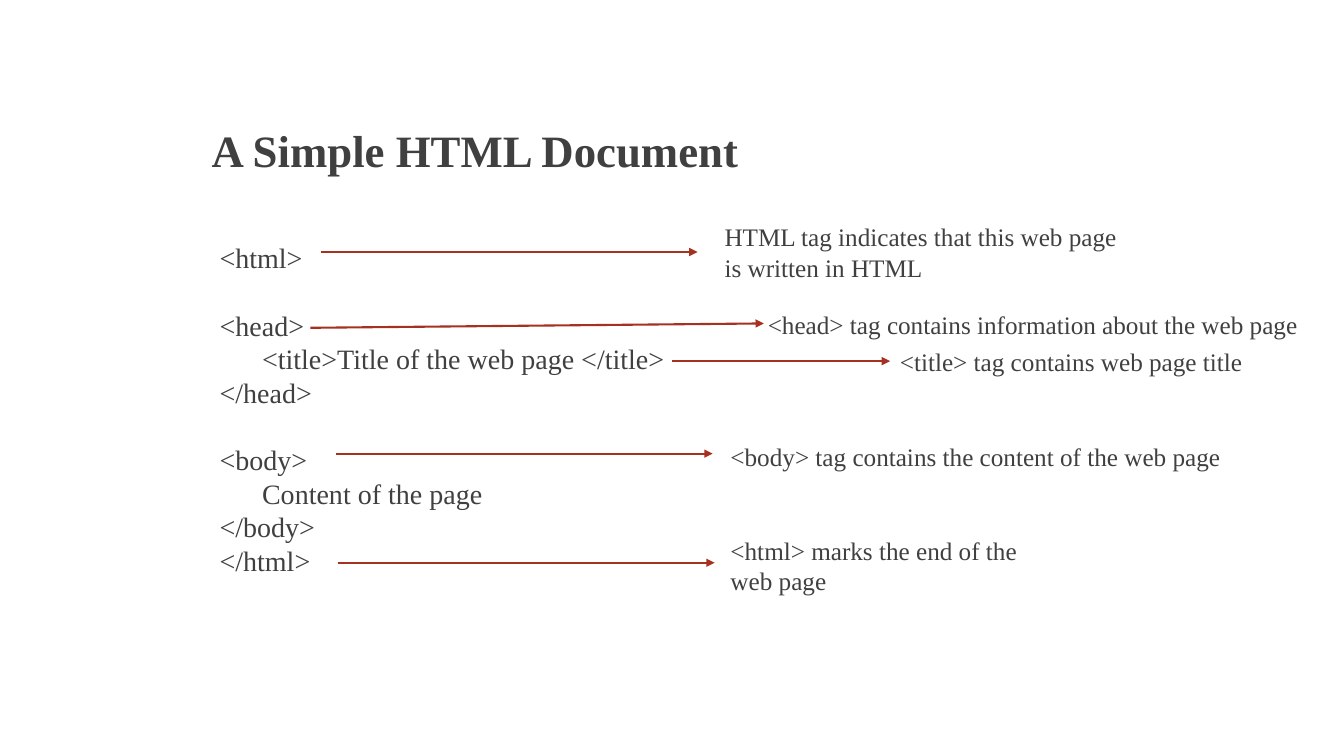
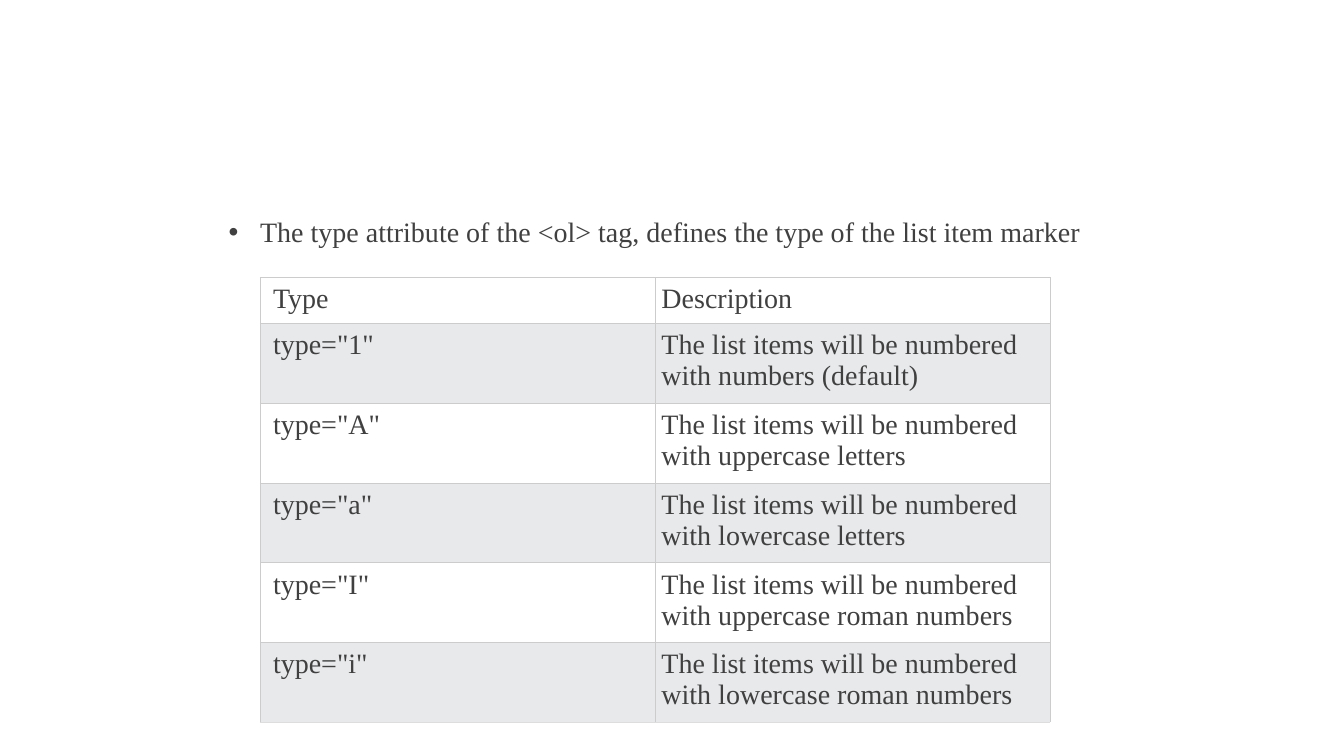
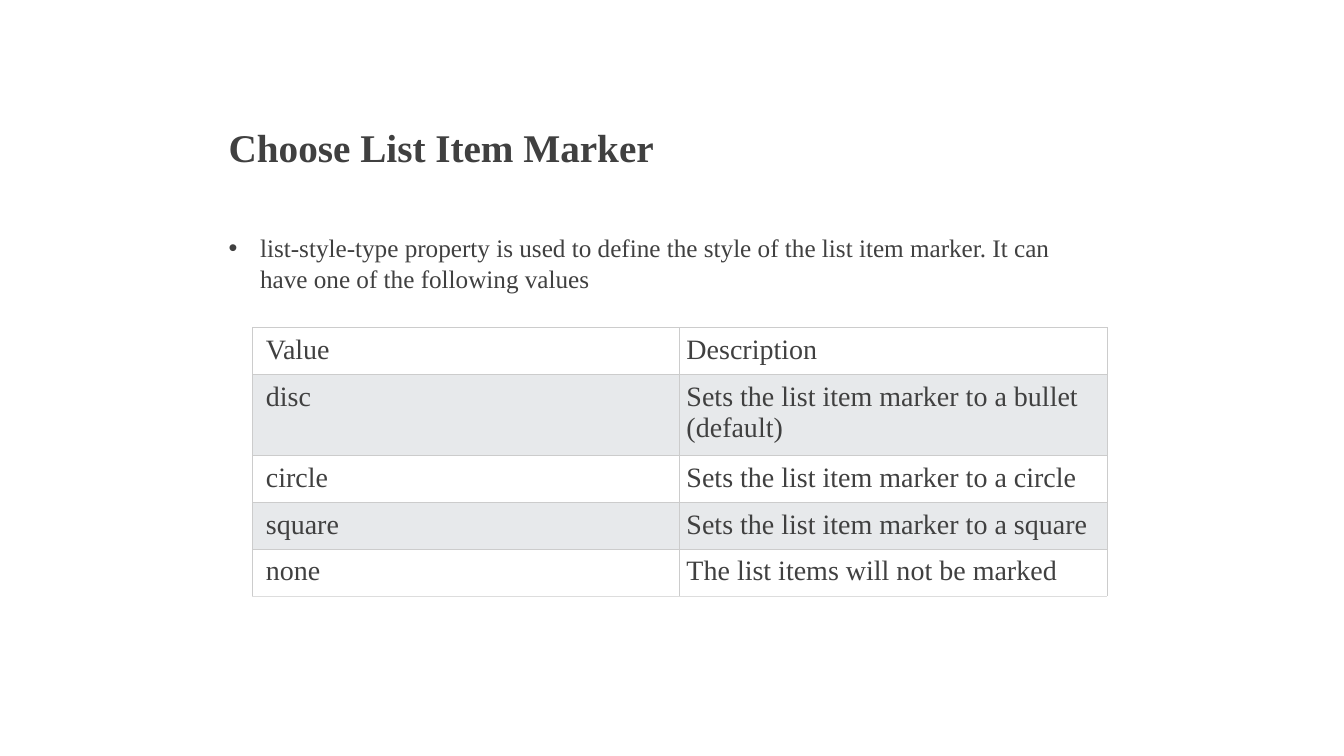
from lxml import etree
from pptx import Presentation
from pptx.dml.color import RGBColor
from pptx.enum import shapes, text
from pptx.oxml import ns
from pptx.util import Cm, Pt

INK = RGBColor(0x40, 0x40, 0x40)
ARROW = RGBColor(0xA6, 0x31, 0x21)
WHITE = RGBColor(0xFF, 0xFF, 0xFF)
BAND = RGBColor(0xE7, 0xE9, 0xEB)
GRID = RGBColor(0xCC, 0xCC, 0xCC)
GRID_END = RGBColor(0xDD, 0xDD, 0xDD)
FONT = "Times New Roman"
TEXT_INDENT = 1.07
BULLET_INDENT = 0.79


# Shared formatting
def style_run(p, words, size, bold=False):
    r = p.add_run()
    r.text = words
    for name, value in dict(name=FONT, size=Pt(size), bold=bold).items():
        setattr(r.font, name, value)
    r.font.color.rgb = INK


def place(sp, left, top, width, height):
    box = dict(left=left, top=top, width=width, height=height)
    for name, value in box.items():
        setattr(sp, name, Cm(value))


def fill_text(sp, lines, size, bold=False):
    """Each line is (words, left indent in cm, whole lines of space before)."""
    tf = sp.text_frame
    frame = dict(word_wrap=True, auto_size=text.MSO_AUTO_SIZE.NONE,
                 vertical_anchor=text.MSO_ANCHOR.TOP)
    for name, value in frame.items():
        setattr(tf, name, value)
    pitch = round(size * 1.2)
    for i, (words, indent, gap) in enumerate(lines):
        p = tf.add_paragraph() if i else tf.paragraphs[0]
        spacing = dict(alignment=text.PP_ALIGN.LEFT, line_spacing=Pt(pitch),
                       space_before=Pt(gap * pitch), space_after=Pt(0))
        for name, value in spacing.items():
            setattr(p, name, value)
        style_run(p, words, size, bold)
        pPr = p._p.get_or_add_pPr()
        pPr.set("marL", str(Cm(indent)))
        pPr.set("indent", "0")


def set_bullet(p, char=None):
    pPr = p._p.get_or_add_pPr()
    if char is None:
        etree.SubElement(pPr, ns.qn("a:buNone"))
        return
    pPr.set("indent", str(-Cm(BULLET_INDENT)))
    etree.SubElement(pPr, ns.qn("a:buChar")).set("char", char)


# Slide regions
def add_slide(prs):
    return prs.slides.add_slide(prs.slide_layouts[1])


def add_title(s, box, words, size):
    sp = s.shapes.title
    place(sp, *box)
    fill_text(sp, [(words, 0, 0)], size, bold=True)


def add_bullet(s, box, words, size):
    sp = s.placeholders[1]
    place(sp, *box)
    fill_text(sp, [(words, BULLET_INDENT, 0)], size)
    set_bullet(sp.text_frame.paragraphs[0], "•")


def add_code(s, box, lines):
    sp = s.placeholders[1]
    place(sp, *box)
    fill_text(sp, lines, 20)
    for p in sp.text_frame.paragraphs:
        set_bullet(p)


def add_arrow(s, x1, y1, x2, y2):
    c = s.shapes.add_connector(shapes.MSO_CONNECTOR.STRAIGHT,
                               Cm(x1), Cm(y1), Cm(x2), Cm(y2))
    c.line.color.rgb = ARROW
    c.line.width = Pt(1.5)
    etree.SubElement(c.line._get_or_add_ln(), ns.qn("a:tailEnd")).set("type", "triangle")
    etree.SubElement(c._element.spPr, ns.qn("a:effectLst"))


def add_note(s, box, words):
    sp = s.shapes.add_textbox(*map(Cm, box))
    fill_text(sp, [(words, 0, 0)], 18)


def set_borders(cell, last):
    tcPr = cell._tc.get_or_add_tcPr()
    for side in ("lnL", "lnR", "lnT", "lnB"):
        ln = etree.SubElement(tcPr, ns.qn("a:" + side))
        ln.set("w", str(Pt(0.6)))
        fill = etree.SubElement(ln, ns.qn("a:solidFill"))
        color = GRID_END if last and side == "lnB" else GRID
        etree.SubElement(fill, ns.qn("a:srgbClr")).set("val", str(color))


def add_grid(s, left, top, col_width, heights, inset, rows):
    """Two equal columns; the first has a doubled left inset."""
    tbl = s.shapes.add_table(len(rows), 2, Cm(left), Cm(top),
                             Cm(2 * col_width), Cm(sum(heights))).table
    tbl.first_row = tbl.horz_banding = False
    for col in tbl.columns:
        col.width = Cm(col_width)
    for i, (row, height) in enumerate(zip(rows, heights)):
        tbl.rows[i].height = Cm(height)
        for j, words in enumerate(row):
            cell = tbl.cell(i, j)
            margins = dict(margin_left=inset * (2 - j), margin_right=inset,
                           margin_top=inset, margin_bottom=inset)
            for name, value in margins.items():
                setattr(cell, name, Cm(value))
            set_borders(cell, i == len(rows) - 1)
            cell.fill.solid()
            cell.fill.fore_color.rgb = BAND if i % 2 else WHITE
            style_run(cell.text_frame.paragraphs[0], words, 20)


# Slides
def document_slide(prs):
    s = add_slide(prs)
    add_title(s, (5.08, 2.97, 15, 1.63), "A Simple HTML Document", 32)
    add_code(s, (5.28, 5.94, 17.15, 8.81), [
        ("<html>", 0, 0),
        ("<head>", 0, 1),
        ("<title>Title of the web page </title>", TEXT_INDENT, 0),
        ("</head>", 0, 0),
        ("<body>", 0, 1),
        ("Content of the page", TEXT_INDENT, 0),
        ("</body>", 0, 0),
        ("</html>", 0, 0),
    ])
    # Each tag: arrow ends, then the box and words of its note
    for arrow, box, words in [
        ((8.08, 6.35, 17.58, 6.35), (18.01, 5.44, 10.6, 1.8),
         "HTML tag indicates that this web page is written in HTML"),
        ((7.82, 8.26, 19.25, 8.15), (19.1, 7.65, 14.6, 1.02),
         "<head> tag contains information about the web page"),
        ((16.94, 9.1, 22.43, 9.1), (22.43, 8.59, 9.6, 1.02),
         "<title> tag contains web page title"),
        ((8.46, 11.43, 17.96, 11.43), (18.16, 10.97, 13.2, 1.02),
         "<body> tag contains the content of the web page"),
        ((8.51, 14.18, 18.01, 14.18), (18.16, 13.34, 7.87, 1.8),
         "<html> marks the end of the web page"),
    ]:
        add_arrow(s, *arrow)
        add_note(s, box, words)


def type_slide(prs):
    s = add_slide(prs)
    title = s.shapes.title._element
    title.getparent().remove(title)
    add_bullet(s, (5.51, 5.29, 23.7, 1.5),
               "The type attribute of the <ol> tag, defines the type of the list item marker", 20)
    kinds = [("1", "numbers (default)"), ("A", "uppercase letters"),
             ("a", "lowercase letters"), ("I", "uppercase roman numbers"),
             ("i", "lowercase roman numbers")]
    rows = [("Type", "Description")]
    rows += [(f'type="{mark}"', f"The list items will be numbered with {kind}")
             for mark, kind in kinds]
    add_grid(s, 6.56, 6.99, 9.95, [1.16] + [2.01] * 5, 0.16, rows)


def marker_slide(prs):
    s = add_slide(prs)
    add_title(s, (5.51, 2.97, 15.04, 2.24), "Choose List Item Marker", 28)
    add_bullet(s, (5.51, 5.72, 21.39, 1.8),
               "list-style-type property is used to define the style of the list item "
               "marker. It can have one of the following values", 18)
    add_grid(s, 6.36, 8.25, 10.77, [1.18, 2.05, 1.18, 1.18, 1.18], 0.17, [
        ("Value", "Description"),
        ("disc", "Sets the list item marker to a bullet (default)"),
        ("circle", "Sets the list item marker to a circle"),
        ("square", "Sets the list item marker to a square"),
        ("none", "The list items will not be marked"),
    ])


def main():
    prs = Presentation()
    prs.slide_width, prs.slide_height = Cm(33.87), Cm(19.05)
    for build in (document_slide, type_slide, marker_slide):
        build(prs)
    prs.save("out.pptx")


if __name__ == "__main__":
    main()
